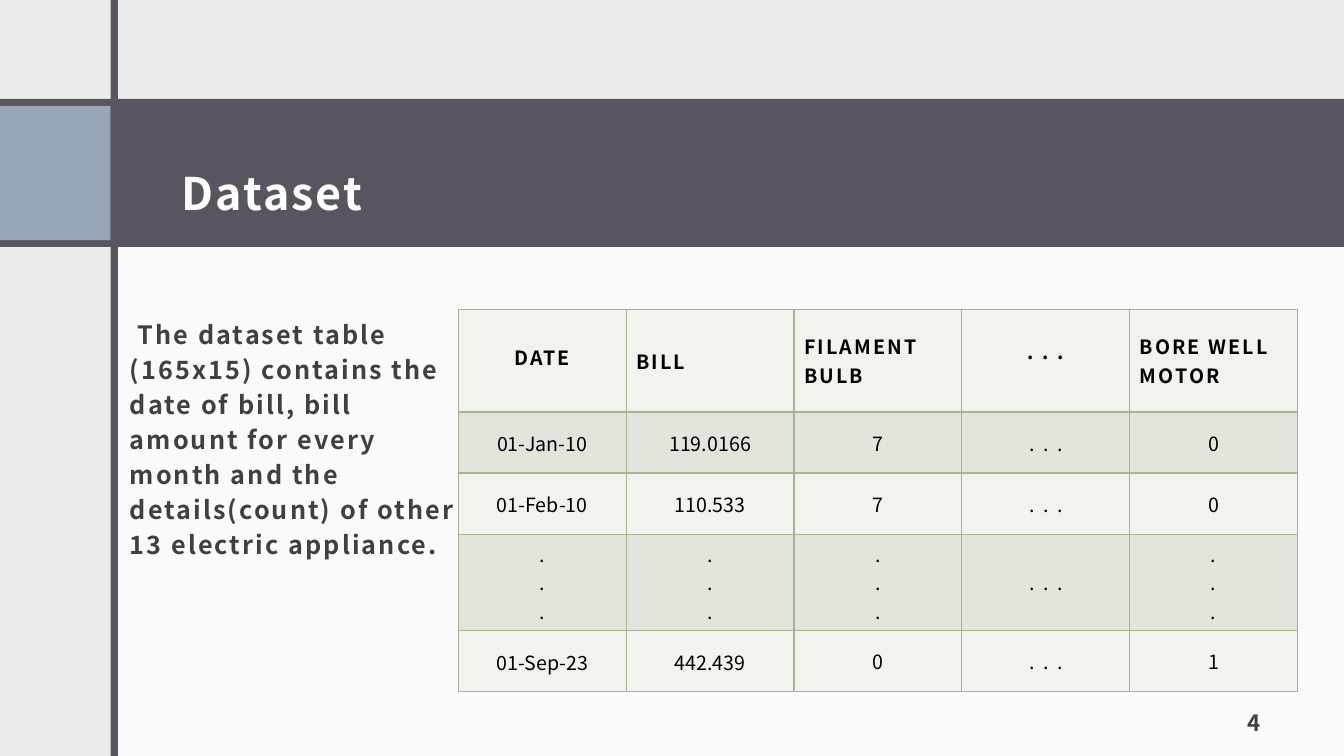
"""Build the Dataset slide: a title band, a description and a table of sample rows."""
from dataclasses import dataclass

from lxml.etree import SubElement
from pptx import Presentation
from pptx.dml.color import RGBColor
from pptx.enum.shapes import MSO_SHAPE
from pptx.enum.text import MSO_ANCHOR, MSO_AUTO_SIZE, PP_ALIGN
from pptx.oxml.ns import qn
from pptx.util import Cm, Pt


@dataclass(frozen=True)
class Theme:
    font: str = "Noto Sans CJK JP"
    background: str = "EBEDEB"
    panel: str = "FAFAFA"
    band: str = "595460"
    accent: str = "97A7B8"
    title: str = "FFFFFF"
    body: str = "404040"
    cell: str = "000000"
    border: str = "A5B592"
    light_row: str = "F0F3EE"
    dark_row: str = "E1E5DC"
    title_size: int = 32
    body_size: int = 18
    number_size: int = 16
    cell_size: int = 14


theme = Theme()


def write(tf, text, size, color, bold=True, spacing=1.5, align=PP_ALIGN.LEFT, line=1.0):
    """Fill a text frame, one paragraph per line of text."""
    tf.word_wrap = True
    for i, content in enumerate(text.split("\n")):
        p = tf.paragraphs[0] if i == 0 else tf.add_paragraph()
        p.alignment = align
        p.line_spacing = line
        p.space_before = Pt(0)
        r = p.add_run()
        r.text = content
        r.font.name = theme.font
        r.font.size = Pt(size)
        r.font.bold = bold
        r.font.color.rgb = RGBColor.from_string(color)
        r._r.get_or_add_rPr().set("spc", str(int(spacing * 100)))


def set_frame(tf, anchor, left, top, right, bottom):
    """Set the anchor and the insets of a text frame, in centimetres."""
    tf.auto_size = MSO_AUTO_SIZE.NONE
    tf.vertical_anchor = anchor
    tf.margin_left, tf.margin_top = Cm(left), Cm(top)
    tf.margin_right, tf.margin_bottom = Cm(right), Cm(bottom)


prs = Presentation()
prs.slide_width, prs.slide_height = Cm(33.87), Cm(19.05)
s = prs.slides.add_slide(prs.slide_layouts[1])
s.background.fill.solid()
s.background.fill.fore_color.rgb = RGBColor.from_string(theme.background)

title, body = s.shapes.title, s.placeholders[1]
decor = [
    (2.9, 5.92, 30.97, 13.13, theme.panel),
    (0, 2.49, 33.87, 3.73, theme.band),
    (0, 2.67, 2.79, 3.38, theme.accent),
    (2.79, 0, 0.18, 19.05, theme.band),
]
for left, top, width, height, color in decor:
    sp = s.shapes.add_shape(MSO_SHAPE.RECTANGLE, Cm(left), Cm(top), Cm(width), Cm(height))
    sp.shadow.inherit = False
    sp.fill.solid()
    sp.fill.fore_color.rgb = RGBColor.from_string(color)
    sp.line.fill.background()
    title._element.addprevious(sp._element)

title.left, title.top, title.width, title.height = Cm(4.27), Cm(2.67), Cm(27.81), Cm(3.1)
set_frame(title.text_frame, MSO_ANCHOR.BOTTOM, 0.3, 0.3, 0.3, 0.25)
write(title.text_frame, "Dataset", theme.title_size, theme.title, line=1.5)

header = ["DATE", "BILL", "FILAMENT BULB", ". . .", "BORE WELL MOTOR"]
dots = ".\n.\n."
rows = [
    header,
    ["01-Jan-10", "119.0166", "7", ". . .", "0"],
    ["01-Feb-10", "110.533", "7", ". . .", "0"],
    [dots, dots, dots, ". . .", dots],
    ["01-Sep-23", "442.439", "0", ". . .", "1"],
]
row_heights = [2.59, 1.54, 1.54, 2.43, 1.54]
col_width = 4.23
header_bottom = {"DATE": 0.33, ". . .": 0.6}

table = s.shapes.add_table(
    len(rows), len(header), Cm(11.55), Cm(7.79),
    Cm(col_width * len(header)), Cm(sum(row_heights)),
).table
table.first_row = table.horz_banding = False
for col in table.columns:
    col.width = Cm(col_width)
for i, (values, height) in enumerate(zip(rows, row_heights)):
    table.rows[i].height = Cm(height)
    for j, value in enumerate(values):
        cell = table.cell(i, j)
        is_header = i == 0
        is_record = j < 2 and not is_header and value != dots
        cell.vertical_anchor = MSO_ANCHOR.MIDDLE
        if is_record:
            cell.margin_left = cell.margin_top = cell.margin_right = Cm(0.03)
            cell.margin_bottom = Cm(0)
        elif is_header and value in header_bottom:
            cell.margin_bottom = Cm(header_bottom[value])
        left_aligned = is_header and value not in header_bottom
        write(cell.text_frame, value, theme.cell_size, theme.cell, bold=is_header,
              spacing=0 if is_record else 1.5,
              align=PP_ALIGN.LEFT if left_aligned else PP_ALIGN.CENTER)
        tcPr = cell._tc.get_or_add_tcPr()
        for side in ("a:lnL", "a:lnR", "a:lnT", "a:lnB"):
            ln = SubElement(tcPr, qn(side), w=str(Pt(1)))
            fill = SubElement(ln, qn("a:solidFill"))
            SubElement(fill, qn("a:srgbClr"), val=theme.border)
        cell.fill.solid()
        cell.fill.fore_color.rgb = RGBColor.from_string(
            theme.dark_row if i % 2 else theme.light_row)

number = s.shapes.add_textbox(Cm(29.36), Cm(17.53), Cm(2.72), Cm(1.27))
set_frame(number.text_frame, MSO_ANCHOR.BOTTOM, 0.3, 0.3, 0.3, 0.25)
write(number.text_frame, "4", theme.number_size, theme.body, align=PP_ALIGN.RIGHT)

body.left, body.top, body.width, body.height = Cm(3.02), Cm(7.8), Cm(9.04), Cm(9.37)
set_frame(body.text_frame, MSO_ANCHOR.TOP, 0.25, 0.13, 0.25, 0.13)
write(body.text_frame,
      " The dataset table (165x15) contains the date of bill, bill amount for every "
      "month and the details(count) of other 13 electric appliance.",
      theme.body_size, theme.body, line=1.16)
pPr = body.text_frame.paragraphs[0]._p.get_or_add_pPr()
pPr.set("marL", "0")
pPr.set("indent", "0")
SubElement(pPr, qn("a:buNone"))

prs.save("out.pptx")
